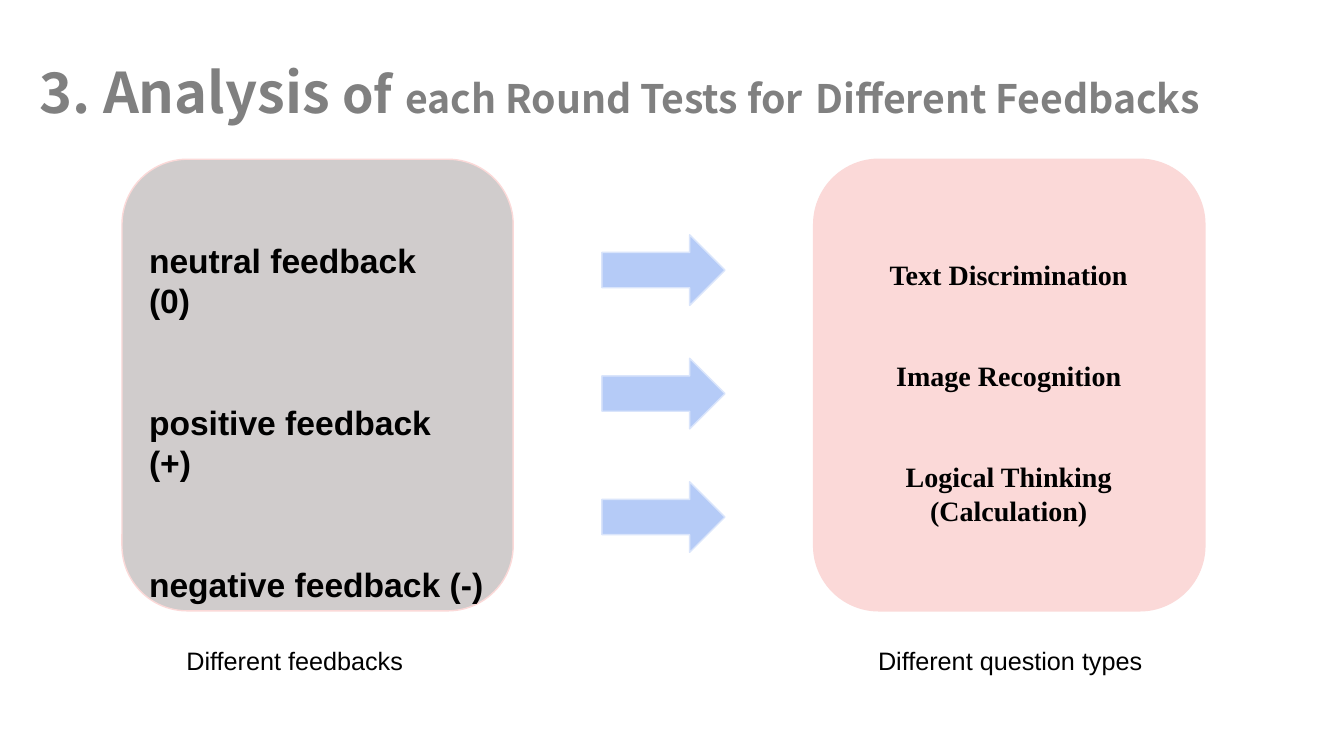
from pptx import Presentation
from pptx.dml.color import RGBColor
from pptx.enum.shapes import MSO_SHAPE
from pptx.enum.text import PP_ALIGN
from pptx.util import Inches, Pt

ROUND_RECT = MSO_SHAPE.ROUNDED_RECTANGLE
RIGHT_ARROW = MSO_SHAPE.RIGHT_ARROW
LEFT, CENTER = PP_ALIGN.LEFT, PP_ALIGN.CENTER

GREY = RGBColor(0x80, 0x80, 0x80)
BLACK = RGBColor(0x00, 0x00, 0x00)
WARM_GREY = RGBColor(0xD0, 0xCC, 0xCC)
PINK = RGBColor(0xFB, 0xD9, 0xD8)
BLUE = RGBColor(0xB5, 0xCB, 0xF7)
PALE_BLUE = RGBColor(0xDA, 0xE5, 0xFB)


def add_text(s, box, paragraphs, font="Arial", size=18, color=BLACK,
             bold=False, align=LEFT, spacing=None, gap=0):
    """Each paragraph is a string or a list of (text, size) runs."""
    tf = s.shapes.add_textbox(*map(Inches, box)).text_frame
    tf.word_wrap = True
    for i, runs in enumerate(paragraphs):
        p = tf.add_paragraph() if i else tf.paragraphs[0]
        p.alignment = align
        if spacing:
            p.line_spacing = spacing
        if i and gap:
            p.space_before = Pt(gap)
        if isinstance(runs, str):
            runs = [(runs, size)]
        for text, run_size in runs:
            for j, line in enumerate(text.split("\n")):
                if j:
                    p.add_line_break()
                r = p.add_run()
                r.text = line
                r.font.name = font
                r.font.size = Pt(run_size)
                r.font.bold = bold
                r.font.color.rgb = color


def add_block(s, kind, box, fill, line):
    sp = s.shapes.add_shape(kind, *map(Inches, box))
    sp.shadow.inherit = False
    sp.fill.solid()
    sp.fill.fore_color.rgb = fill
    sp.line.color.rgb = line
    sp.line.width = Pt(1)


def add_title(s, box):
    runs = [("3. Analysis ", 40), ("of", 36), (" ", 40),
            ("each Round Tests for", 28), (" ", 40),
            ("Different Feedbacks", 28)]
    add_text(s, box, [runs], font="Noto Sans CJK SC", color=GREY, bold=True,
             spacing=1.3)


def add_panel(s, box, fill, items, items_box, caption, caption_box, **style):
    """Draw a rounded panel; inner boxes are offset from its corner."""
    x, y, w, h = box
    add_block(s, ROUND_RECT, box, fill, PINK)
    for (dx, dy, *extent), texts, fmt in ((items_box, items, style),
                                          (caption_box, [caption], {})):
        add_text(s, (x + dx, y + dy, *extent), texts, **fmt)


def add_arrows(s, box, count, pitch):
    x, y, w, h = box
    for i in range(count):
        add_block(s, RIGHT_ARROW, (x, y + i * pitch, w, h), BLUE, PALE_BLUE)


def main():
    prs = Presentation()
    prs.slide_width, prs.slide_height = Inches(13.33), Inches(7.5)
    s = prs.slides.add_slide(prs.slide_layouts[6])

    add_title(s, (0.29, 0.32, 13, 0.89))

    # Feedback kinds on the left
    add_panel(s, (1.21, 1.58, 3.88, 4.48), WARM_GREY,
              ["neutral feedback\n(0)", "positive feedback\n(+)",
               "negative feedback (-)"], (0.17, 0.75, 3.53, 3.33),
              "Different feedbacks", (0.54, 4.77, 2.44, 0.4),
              size=24, bold=True, gap=58)

    # Arrows from feedbacks to questions
    add_arrows(s, (5.97, 2.33, 1.22, 0.7), count=3, pitch=1.225)

    # Question types on the right
    add_panel(s, (8.07, 1.58, 3.88, 4.48), PINK,
              ["Text Discrimination", "Image Recognition",
               "Logical Thinking (Calculation)"], (0.54, 0.93, 2.79, 2.79),
              "Different question types", (0.54, 4.77, 2.92, 0.4),
              font="Times New Roman", size=20, bold=True, align=CENTER,
              gap=48)

    prs.save("out.pptx")


if __name__ == "__main__":
    main()
